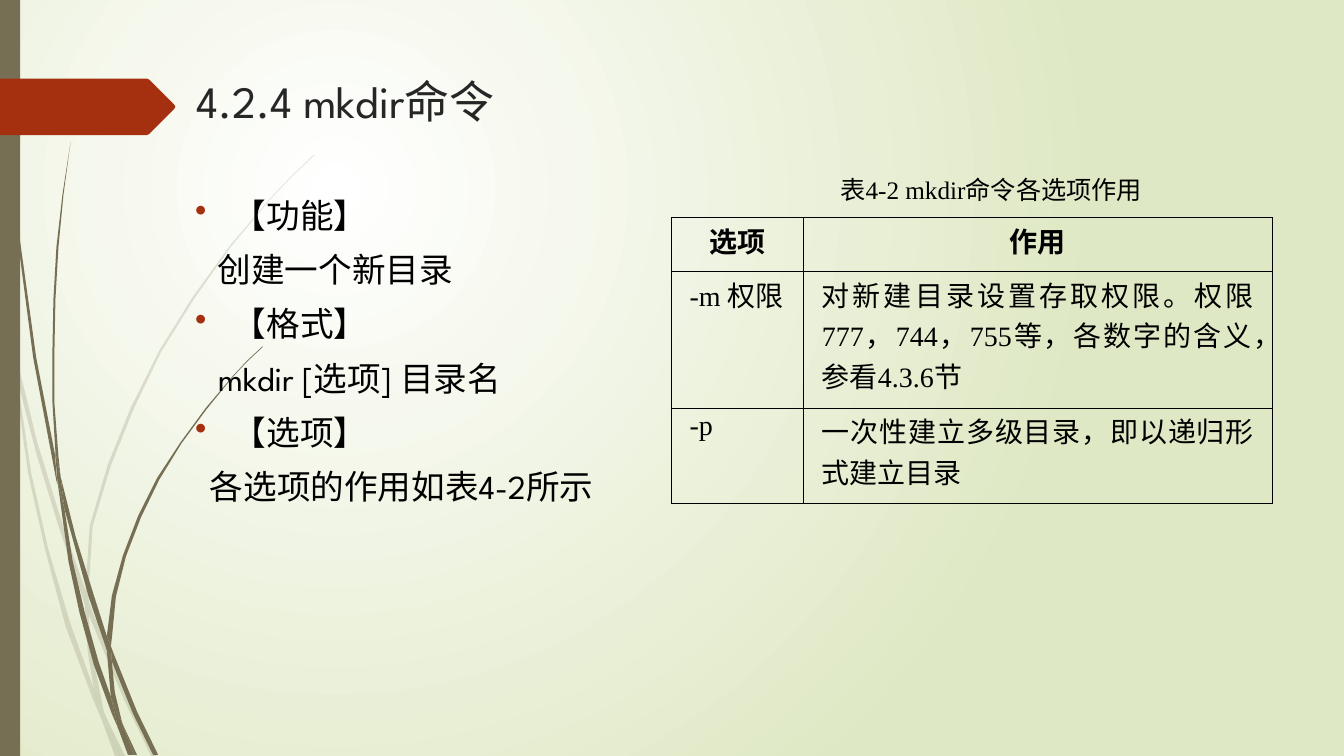
"""Build the slide on the mkdir command, with its option table and grass blades."""
import pptx
import pptx.dml.color
import pptx.enum.shapes
import pptx.enum.text
import pptx.oxml
import pptx.oxml.ns
import pptx.util
from pptx.util import Cm

RGBColor = pptx.dml.color.RGBColor
ALIGN = pptx.enum.text.PP_ALIGN
qn = pptx.oxml.ns.qn

OLIVE = RGBColor(0x76, 0x6F, 0x54)
RUST = RGBColor(0xA5, 0x30, 0x10)
BLACK = RGBColor(0, 0, 0)
CHARCOAL = RGBColor(0x26, 0x26, 0x26)
WHITE = RGBColor(0xFF, 0xFF, 0xFF)
PALE_GREEN = RGBColor(0xDF, 0xE8, 0xC4)
SANS, SERIF = "League Spartan", "Times New Roman"

TITLE = "4.2.4 mkdir命令"
CAPTION = "表4-2 mkdir命令各选项作用"
SECTIONS = [
    ("【功能】", "创建一个新目录", 0.57),
    ("【格式】", "mkdir [选项] 目录名", 0.57),
    ("【选项】", "各选项的作用如表4-2所示", 0.37),
]
OPTIONS = [
    ("选项", "作用"),
    ("-m 权限", "对新建目录设置存取权限。权限777，744，755等，各数字的含义，参看4.3.6节"),
    ("-p", "一次性建立多级目录，即以递归形式建立目录"),
]
COL_WIDTHS = (3.33, 11.81)
ROW_HEIGHTS = (1.35, 3.45, 2.39)

OUTLINE_UNIT = Cm(0.0254)
PALE_BLADES = [
    [(11, 350), (9, 322), (0, 282), (0, 299), (10, 344)],
    [(58, 522), (84, 599), (85, 586), (62, 520), (37, 439), (14, 345), (17, 376), (36, 450)],
    [(92, 607), (88, 596), (88, 610), (123, 694), (150, 750), (155, 750), (127, 692)],
    [(119, 750), (124, 750), (105, 711)],
    [(93, 683), (70, 619), (48, 545), (31, 469), (17, 376), (11, 350), (28, 470), (45, 546),
     (65, 621), (92, 693), (101, 714), (99, 707)],
    [(84, 599), (87, 646), (93, 683), (96, 692), (105, 711), (103, 706), (91, 646), (88, 610),
     (88, 608)],
    [(88, 584), (92, 522), (110, 462), (133, 405), (160, 349), (193, 296), (229, 245), (268, 198),
     (290, 175), (312, 154), (312, 153), (289, 175), (268, 197), (228, 244), (191, 295),
     (158, 348), (130, 404), (107, 461), (89, 522), (85, 584), (85, 586), (88, 596)],
    [(101, 714), (114, 750), (119, 750)],
    [(88, 608), (88, 610), (88, 596), (85, 586), (84, 599)],
    [(96, 692), (93, 683), (99, 707), (101, 714), (119, 750), (105, 711)],
]
DARK_BLADES = [
    [(7, 110), (17, 233), (33, 355), (56, 477), (57, 481), (55, 457), (55, 453), (36, 355),
     (19, 232), (8, 109), (5, 48), (4, 0), (3, 0), (4, 48)],
    [(88, 592), (106, 645), (106, 631), (93, 590), (75, 532), (60, 472), (64, 505)],
    [(113, 649), (110, 641), (111, 656), (132, 708), (152, 749), (157, 749), (136, 706)],
    [(110, 691), (98, 657), (84, 607), (72, 556), (64, 505), (57, 477), (68, 557), (79, 608),
     (93, 659), (111, 708), (117, 722), (116, 717)],
    [(60, 472), (58, 453), (54, 400), (54, 349), (55, 297), (58, 245), (63, 193), (70, 141),
     (62, 193), (56, 245), (53, 297), (52, 349), (52, 399), (55, 449)],
    [(133, 749), (136, 749), (122, 719)],
    [(57, 477), (64, 505), (60, 472), (55, 449), (55, 453)],
    [(111, 633), (115, 592), (125, 552), (140, 513), (158, 476), (180, 440), (205, 406),
     (231, 374), (245, 359), (261, 344), (260, 344), (245, 358), (231, 373), (204, 405),
     (179, 439), (156, 474), (137, 512), (122, 551), (111, 591), (106, 631), (110, 641)],
    [(117, 722), (127, 749), (131, 749)],
    [(106, 645), (110, 691), (116, 706), (122, 719), (121, 716), (114, 687), (111, 656),
     (109, 651)],
    [(106, 645), (109, 651), (111, 656), (110, 641), (106, 631)],
    [(116, 706), (110, 691), (116, 717), (117, 722), (130, 749), (133, 749), (122, 719)],
]
ARROW_TAG = [(0, 78), (146, 78), (148, 79), (173, 104), (174, 106), (173, 108), (148, 133),
             (146, 134), (0, 134)]


def add_child(parent, tag, **attrs):
    child = parent.makeelement(qn(tag), attrs)
    parent.append(child)
    return child


def paint(sp, color, alpha=100):
    sp.shadow.inherit = False
    sp.fill.solid()
    sp.fill.fore_color.rgb = color
    sp.line.fill.background()
    if alpha < 100:
        add_child(sp.element.spPr.find(".//" + qn("a:srgbClr")), "a:alpha", val=str(alpha * 1000))


def add_outline(shapes, points, color, alpha=100):
    builder = shapes.build_freeform(*points[0], scale=OUTLINE_UNIT)
    builder.add_line_segments(points[1:], close=True)
    paint(builder.convert_to_shape(), color, alpha)


def add_run(p, text, size, font, color, bold=False):
    r = p.add_run()
    r.text = text
    r.font.size = pptx.util.Pt(size)
    r.font.name = font
    r.font.color.rgb = color
    r.font.bold = bold


def add_box(s, left, top, width, height):
    tf = s.shapes.add_textbox(Cm(left), Cm(top), Cm(width), Cm(height)).text_frame
    tf.word_wrap = True
    return tf


def set_background(s):
    fill = s.background.fill
    fill.gradient()
    for stop, color, position in zip(fill.gradient_stops, (WHITE, PALE_GREEN), (0, 1)):
        stop.color.rgb = color
        stop.position = position
    grad = s.element.find(".//" + qn("a:gradFill"))
    grad.remove(grad.find(qn("a:lin")))
    circle = add_child(grad, "a:path", path="circle")
    add_child(circle, "a:fillToRect", l="50000", t="50000", r="100000", b="100000")


def add_decoration(s):
    for blades, alpha in ((PALE_BLADES, 20), (DARK_BLADES, 100)):
        group = s.shapes.add_group_shape()
        for points in blades:
            add_outline(group.shapes, points, OLIVE, alpha)
    bar = s.shapes.add_shape(pptx.enum.shapes.MSO_SHAPE.RECTANGLE, 0, 0, Cm(0.51), Cm(19.05))
    paint(bar, OLIVE)
    add_outline(s.shapes, ARROW_TAG, RUST)


def add_sections(s):
    tf = add_box(s, 4.67, 4.78, 11.5, 10.49)
    for i, (heading, detail, indent) in enumerate(SECTIONS):
        p = tf.add_paragraph() if i else tf.paragraphs[0]
        pPr = p._p.get_or_add_pPr()
        pPr.set("marL", str(Cm(0.95)))
        pPr.set("indent", str(-Cm(0.95)))
        add_child(add_child(pPr, "a:buClr"), "a:srgbClr", val=str(RUST))
        add_child(pPr, "a:buChar", char="•")
        if i:
            p.space_before = pptx.util.Pt(10)
        add_run(p, heading, 24, SANS, BLACK)
        p = tf.add_paragraph()
        p._p.get_or_add_pPr().set("marL", str(Cm(indent)))
        p.space_before = pptx.util.Pt(10)
        add_run(p, detail, 24, SANS, BLACK)


def fill_cell(cell, text, header):
    cell.margin_left = cell.margin_right = Cm(0.46)
    cell.margin_top, cell.margin_bottom = Cm(0.05), 0
    tcPr = cell._tc.get_or_add_tcPr()
    for side in ("a:lnL", "a:lnR", "a:lnT", "a:lnB"):
        ln = add_child(tcPr, side, w=str(pptx.util.Pt(1)))
        add_child(add_child(ln, "a:solidFill"), "a:srgbClr", val=str(BLACK))
    cell.fill.background()
    p = cell.text_frame.paragraphs[0]
    p.alignment = ALIGN.CENTER if header else ALIGN.JUSTIFY
    add_run(p, text, 20, SERIF, BLACK, header)


def add_options(s):
    frame = s.shapes.add_table(len(OPTIONS), len(COL_WIDTHS), Cm(16.92), Cm(5.49),
                               Cm(sum(COL_WIDTHS)), Cm(sum(ROW_HEIGHTS)))
    table = frame.table
    table.first_row = table.horz_banding = False
    for column, width in zip(table.columns, COL_WIDTHS):
        column.width = Cm(width)
    for i, (row, height) in enumerate(zip(table.rows, ROW_HEIGHTS)):
        row.height = Cm(height)
        for cell, text in zip(row.cells, OPTIONS[i]):
            fill_cell(cell, text, i == 0)
    p = add_box(s, 16.51, 4.27, 16.94, 1.02).paragraphs[0]
    p.alignment = ALIGN.CENTER
    add_run(p, CAPTION, 18, SERIF, BLACK)


def main():
    prs = pptx.Presentation()
    prs.slide_width, prs.slide_height = Cm(33.87), Cm(19.05)
    s = prs.slides.add_slide(prs.slide_layouts[6])
    set_background(s)
    add_decoration(s)
    add_run(add_box(s, 4.7, 1.73, 11.48, 3.56).paragraphs[0], TITLE, 32, SANS, CHARCOAL)
    add_sections(s)
    add_options(s)
    prs.save("out.pptx")


if __name__ == "__main__":
    main()
